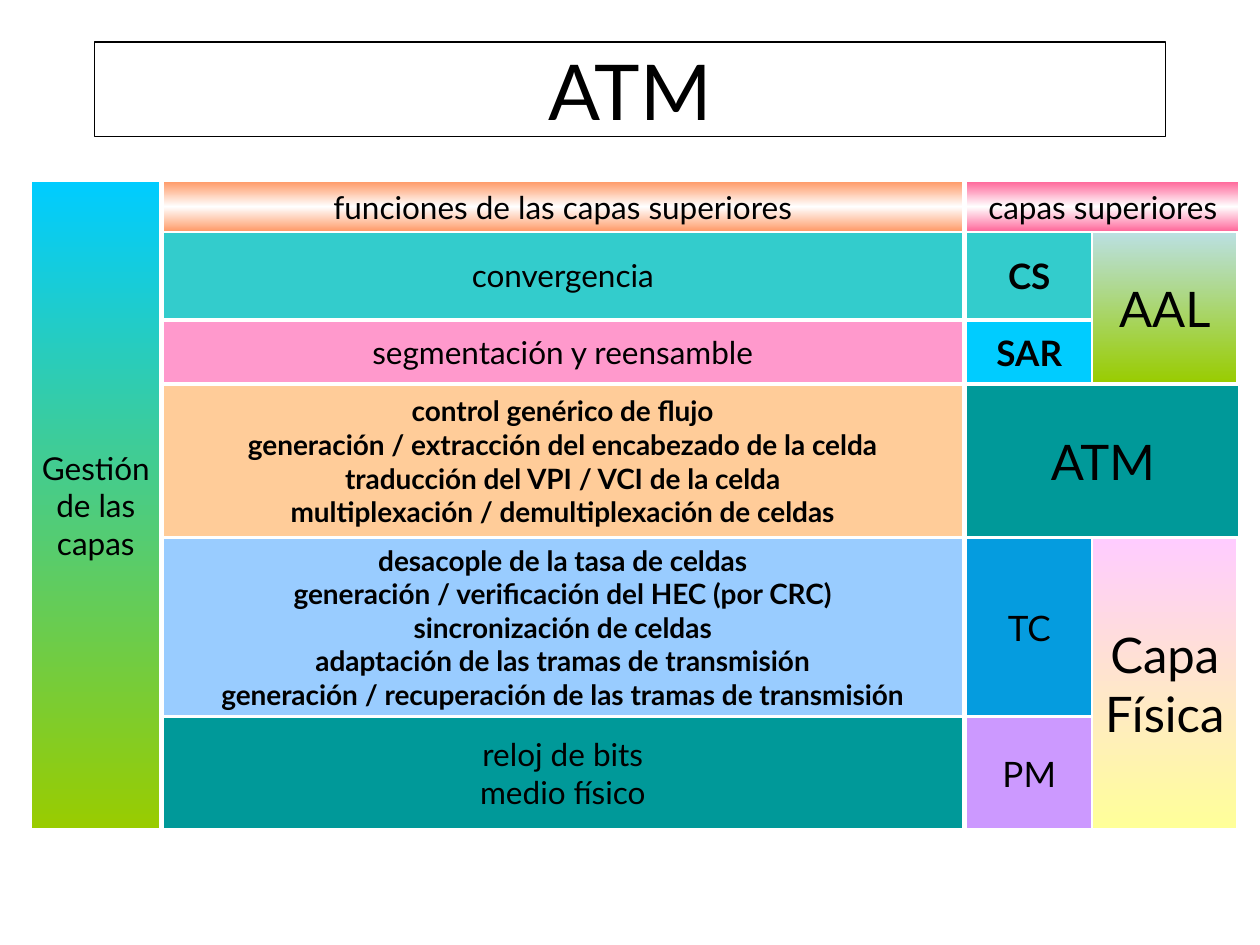
from dataclasses import dataclass

from lxml import etree
from pptx import Presentation
from pptx.dml.color import RGBColor
from pptx.enum.shapes import MSO_SHAPE
from pptx.enum.text import MSO_ANCHOR, PP_ALIGN
from pptx.oxml.ns import qn
from pptx.util import Pt

RECT = MSO_SHAPE.RECTANGLE
MIDDLE = MSO_ANCHOR.MIDDLE
CENTER = PP_ALIGN.CENTER
DOWN = 270


@dataclass(frozen=True)
class Theme:
    """Hold the font, sizes and colours of the slide."""
    font: str = "Lato"
    title: int = 44
    large: int = 28
    mid: int = 20
    base: int = 18
    small: int = 16
    ink: str = "000000"
    edge: str = "FFFFFF"
    teal: str = "009999"
    aqua: str = "33CCCC"
    sky: str = "00CCFF"
    blue: str = "059CDF"
    pale: str = "99CCFF"
    pink: str = "FF99CC"
    peach: str = "FFCC99"
    lilac: str = "CC99FF"
    plane: tuple = ("00CCFF", "99CC00")
    adapt: tuple = ("BBE0E3", "99CC00")
    phys: tuple = ("FFCCFF", "FFFF99")
    work: tuple = ("FF9966", "FFFFFF", "FF9966")
    upper: tuple = ("FF6699", "FFFFFF", "FF6699")


THEME = Theme()

COLS = {
    "plane": (18, 73.5),
    "work": (93, 457.2),
    "sub": (552.2, 72),
    "layer": (624.2, 82.8),
    "wide": (552.2, 156),
}
ROWS = [(103.7, 28.8), (132.5, 49.7), (183.6, 35.3),
        (220.3, 86.4), (307.4, 102), (409.7, 64.1)]

FLOW = """control genérico de flujo
generación / extracción del encabezado de la celda
traducción del VPI / VCI de la celda
multiplexación / demultiplexación de celdas"""
FRAME = """desacople de la tasa de celdas
generación / verificación del HEC (por CRC)
sincronización de celdas
adaptación de las tramas de transmisión
generación / recuperación de las tramas de transmisión"""

CELLS = [
    ("wide", 0, 0, "capas superiores", THEME.upper, THEME.base, False),
    ("work", 0, 0, "funciones de las capas superiores", THEME.work, THEME.base, False),
    ("work", 1, 1, "convergencia", THEME.aqua, THEME.base, False),
    ("work", 2, 2, "segmentación y reensamble", THEME.pink, THEME.base, False),
    ("work", 3, 3, FLOW, THEME.peach, THEME.small, True),
    ("work", 4, 4, FRAME, THEME.pale, THEME.small, True),
    ("work", 5, 5, "reloj de bits\nmedio físico", THEME.teal, THEME.base, False),
    ("plane", 0, 5, "Gestión\nde las\ncapas", THEME.plane, THEME.base, False),
    ("sub", 2, 2, "SAR", THEME.sky, THEME.mid, True),
    ("sub", 1, 1, "CS", THEME.aqua, THEME.mid, True),
    ("layer", 1, 2, "AAL", THEME.adapt, THEME.large, False),
    ("wide", 3, 3, "ATM", THEME.teal, THEME.large, False),
    ("sub", 4, 4, "TC", THEME.blue, THEME.mid, False),
    ("sub", 5, 5, "PM", THEME.lilac, THEME.mid, False),
    ("layer", 4, 5, "Capa\nFísica", THEME.phys, THEME.large, False),
]


def rgb(code):
    """Turn a hex code into a colour."""
    return RGBColor.from_string(code)


def write(shape, text, size, bold=False):
    """Set centred text and format its runs."""
    frame = shape.text_frame
    frame.text = text
    frame.vertical_anchor = MIDDLE
    for para in frame.paragraphs:
        para.alignment = CENTER
        for run in para.runs:
            font = run.font
            font.name, font.size, font.bold = THEME.font, Pt(size), bold
            font.color.rgb = rgb(THEME.ink)


def outline(shape, code, width):
    """Give a shape a plain line."""
    shape.line.color.rgb = rgb(code)
    shape.line.width = Pt(width)


def blend(shape, codes):
    """Fill a shape from top to bottom with evenly spaced colours."""
    shape.fill.gradient()
    shape.fill.gradient_angle = DOWN
    stops = next(shape.element.iter(qn("a:gsLst")))
    for old in list(stops):
        stops.remove(old)
    for i, code in enumerate(codes):
        place = 100000 * i // (len(codes) - 1)
        stop = etree.SubElement(stops, qn("a:gs"), pos=str(place))
        etree.SubElement(stop, qn("a:srgbClr"), val=code)


def add_cell(slide, col, first, last, text, fill, size, bold):
    """Draw one block across a span of rows."""
    left, width = COLS[col]
    top = ROWS[first][0]
    height = sum(ROWS[last]) - top
    shape = slide.shapes.add_shape(RECT, Pt(left), Pt(top), Pt(width), Pt(height))
    shape.shadow.inherit = False
    if isinstance(fill, tuple):
        blend(shape, fill)
    else:
        shape.fill.solid()
        shape.fill.fore_color.rgb = rgb(fill)
    outline(shape, THEME.edge, 1)
    write(shape, text, size, bold)
    shape.text_frame.word_wrap = False


def add_title(slide, text):
    """Place the framed title."""
    title = slide.shapes.title
    title.left, title.top = Pt(54), Pt(24)
    title.width, title.height = Pt(612), Pt(54)
    outline(title, THEME.ink, 0.75)
    write(title, text, THEME.title)


def main():
    """Build the slide and save it."""
    deck = Presentation()
    deck.slide_width, deck.slide_height = Pt(720), Pt(540)
    slide = deck.slides.add_slide(deck.slide_layouts[5])
    add_title(slide, "ATM")
    for cell in CELLS:
        add_cell(slide, *cell)
    deck.save("out.pptx")


if __name__ == "__main__":
    main()
